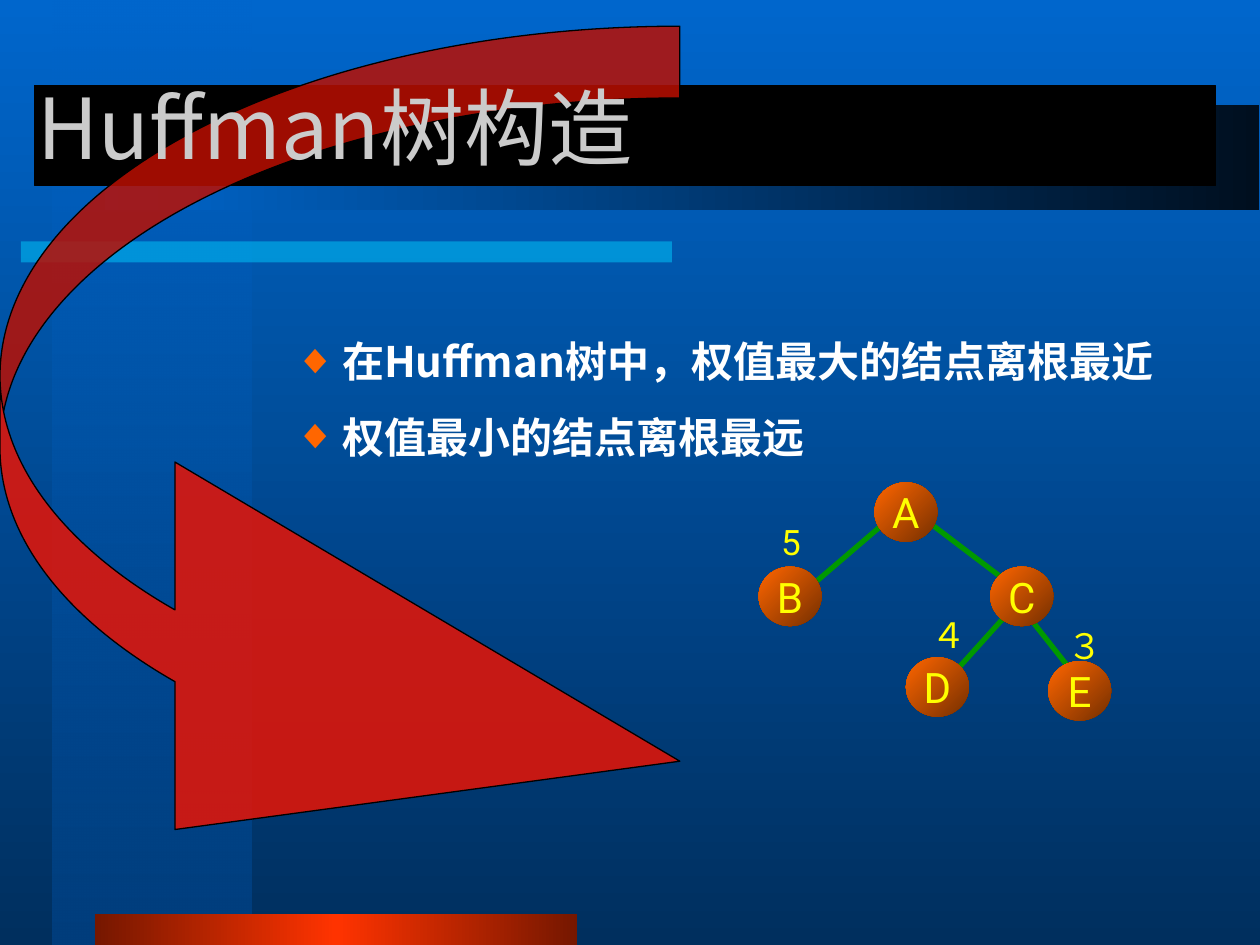
from lxml import etree
from pptx import Presentation
from pptx.dml.color import RGBColor
from pptx.enum import shapes, text
from pptx.oxml import ns
from pptx.util import Pt

SKY, NIGHT = RGBColor(0x00, 0x66, 0xCC), RGBColor(0x00, 0x2F, 0x5E)
COLUMN_END, SHADE = RGBColor(0x00, 0x3E, 0x7D), RGBColor(0x00, 0x0F, 0x1F)
CYAN, BLACK = RGBColor(0x00, 0xCC, 0xFF), RGBColor(0, 0, 0)
MAROON, FLAME = RGBColor(0x75, 0x17, 0x00), RGBColor(0xFF, 0x33, 0x00)
RED, GREEN = RGBColor(0xE9, 0x13, 0x03), RGBColor(0x00, 0x99, 0x00)
BROWN, ORANGE = RGBColor(0x75, 0x2F, 0x00), RGBColor(0xFF, 0x66, 0x00)
YELLOW = RGBColor(0xFF, 0xFF, 0x00)
SILVER, WHITE = RGBColor(0xCB, 0xCB, 0xCB), RGBColor(0xFF, 0xFF, 0xFF)


def add_tag(parent, tag, **attributes):
    return etree.SubElement(parent, ns.qn(tag), attributes)


def set_gradient(props, stops, angle):
    """Swap the empty fill in props for stops of (position, colour, opacity)."""
    gradient = etree.Element(ns.qn("a:gradFill"), rotWithShape="1")
    stop_list = add_tag(gradient, "a:gsLst")
    for position, color, opacity in stops:
        stop = add_tag(stop_list, "a:gs", pos=str(position * 1000))
        rgb = add_tag(stop, "a:srgbClr", val=str(color))
        if opacity < 100:
            add_tag(rgb, "a:alpha", val=str(opacity * 1000))
    add_tag(gradient, "a:lin", ang=str(angle * 60000), scaled="0")
    props.replace(props.find(ns.qn("a:noFill")), gradient)


def set_solid(shape, color, opacity=100):
    shape.fill.solid()
    shape.fill.fore_color.rgb = color
    if opacity < 100:
        rgb = shape._element.spPr.find(".//" + ns.qn("a:srgbClr"))
        add_tag(rgb, "a:alpha", val=str(opacity * 1000))


def set_line(shape, color, width):
    shape.line.color.rgb = color
    shape.line.width = Pt(width)


def add_preset(slide, preset, box):
    shape = slide.shapes.add_shape(preset, *map(Pt, box))
    shape.shadow.inherit = False
    shape.fill.background()
    shape.line.fill.background()
    return shape


def set_frame(frame, side, **formats):
    formats = {"margin_left": Pt(side), "margin_right": Pt(side),
               "margin_top": Pt(3.6), "margin_bottom": Pt(3.6),
               "auto_size": text.MSO_AUTO_SIZE.NONE, **formats}
    for name, value in formats.items():
        setattr(frame, name, value)


def write(paragraph, words, font, size, color, align, bold=False):
    paragraph.alignment = align
    run = paragraph.add_run()
    run.text = words
    for name, value in {"name": font, "size": Pt(size), "bold": bold}.items():
        setattr(run.font, name, value)
    run.font.color.rgb = color
    add_tag(run.font._element, "a:ea", typeface=font)


def place(slide, placeholder, box):
    """Move a placeholder to the box and in front of what is already there."""
    for name, value in zip(("left", "top", "width", "height"), box):
        setattr(placeholder, name, Pt(value))
    slide.shapes._spTree.append(placeholder._element)


def add_backdrop(slide, width, height):
    slide.background.fill.background()
    set_gradient(slide._element.find(".//" + ns.qn("p:bgPr")),
                 [(0, SKY, 100), (100, NIGHT, 100)], 90)
    # Left column, cyan rule, bottom strip and title shade
    rectangle = shapes.MSO_SHAPE.RECTANGLE
    column = add_preset(slide, rectangle, (30, 0, 114, height))
    set_gradient(column._element.spPr, [(0, SKY, 50), (100, COLUMN_END, 100)], 90)
    rule = add_preset(slide, rectangle, (12, 138, 372, 12))
    set_solid(rule, CYAN, 50)
    strip = add_preset(slide, rectangle, (54, height - 18, 276, 18))
    set_gradient(strip._element.spPr,
                 [(0, MAROON, 100), (50, FLAME, 100), (100, MAROON, 100)], 180)
    shade = add_preset(slide, rectangle, (60, 60, width - 60.5, 60))
    set_gradient(shade._element.spPr, [(0, SHADE, 100), (100, SKY, 100)], 180)
    # Black bar behind the title
    bar = add_preset(slide, rectangle, (19.75, 49, 675, 57))
    set_solid(bar, BLACK)
    set_line(bar, BLACK, 0.75)


def add_curved_arrow(slide, box, band, head_width, head_length):
    arrow = add_preset(slide, shapes.MSO_SHAPE.CURVED_RIGHT_ARROW, box)
    short_side = min(box[2:])
    for i, length in enumerate((band, head_width, head_length)):
        arrow.adjustments[i] = length / short_side
    set_solid(arrow, RED, 85)
    set_line(arrow, BLACK, 0.75)


def add_title(slide, box):
    title = slide.shapes.title
    place(slide, title, box)
    set_frame(title.text_frame, 7.2, word_wrap=True,
              vertical_anchor=text.MSO_ANCHOR.MIDDLE)
    write(title.text_frame.paragraphs[0], "Huffman树构造", "Noto Sans CJK JP",
          48, SILVER, text.PP_ALIGN.LEFT)


def add_points(slide, box):
    body = slide.placeholders[1]
    place(slide, body, box)
    frame = body.text_frame
    set_frame(frame, 7.2, word_wrap=True, vertical_anchor=text.MSO_ANCHOR.TOP)
    points = ("在Huffman树中，权值最大的结点离根最近", "权值最小的结点离根最远")
    for i, point in enumerate(points):
        paragraph = frame.add_paragraph() if i else frame.paragraphs[0]
        paragraph.line_spacing = 1.5
        paragraph.space_before = Pt(0)
        props = paragraph._p.get_or_add_pPr()
        props.set("marL", str(Pt(27)))
        props.set("indent", str(-Pt(27)))
        add_tag(add_tag(props, "a:buClr"), "a:srgbClr", val=str(ORANGE))
        add_tag(props, "a:buChar", char="◆")
        write(paragraph, point, "Noto Sans CJK SC", 24, WHITE,
              text.PP_ALIGN.LEFT, bold=True)


def add_tree(slide, left, top):
    # Branches
    branches = [(93.6, 20.1, 138.3, 54), (75.6, 20.1, 30.3, 59),
                (147.6, 69.1, 114.5, 105.8), (150.5, 72, 177.2, 105.8)]
    for x1, y1, x2, y2 in branches:
        branch = slide.shapes.add_connector(
            shapes.MSO_CONNECTOR.STRAIGHT,
            *map(Pt, (left + x1, top + y1, left + x2, top + y2)))
        set_line(branch, GREEN, 3)
        add_tag(branch._element.spPr, "a:effectLst")
    # Nodes
    nodes = {"A": (66.2, 0), "B": (0, 48.2), "C": (132.4, 48.2),
             "D": (84.2, 100), "E": (165.5, 102.2)}
    for letter, (x, y) in nodes.items():
        node = add_preset(slide, shapes.MSO_SHAPE.OVAL, (left + x, top + y, 36, 34))
        set_gradient(node._element.spPr, [(0, BROWN, 100), (100, ORANGE, 100)], 225)
        set_frame(node.text_frame, 0, word_wrap=False,
                  vertical_anchor=text.MSO_ANCHOR.MIDDLE)
        write(node.text_frame.paragraphs[0], letter, "Roboto", 24, YELLOW,
              text.PP_ALIGN.CENTER)
    # Leaf weights
    weights = {"5": (6.4, 18), "３": (174.5, 77.9), "４": (96.6, 71.7)}
    for weight, (x, y) in weights.items():
        label = slide.shapes.add_textbox(*map(Pt, (left + x, top + y, 24, 32)))
        set_frame(label.text_frame, 0, word_wrap=True)
        write(label.text_frame.paragraphs[0], weight, "Roboto", 20, YELLOW,
              text.PP_ALIGN.CENTER)


def main():
    deck = Presentation()
    deck.slide_width, deck.slide_height = Pt(720), Pt(540)
    slide = deck.slides.add_slide(deck.slide_layouts[1])
    add_backdrop(slide, 720, 540)
    add_curved_arrow(slide, (0, 15, 388.5, 525), 41, 210, 288.5)
    add_title(slide, (14.4, 26.9, 612, 90))
    add_points(slide, (161.3, 173.8, 544, 93.5))
    add_tree(slide, 433.5, 275.6)
    deck.save("out.pptx")


if __name__ == "__main__":
    main()
